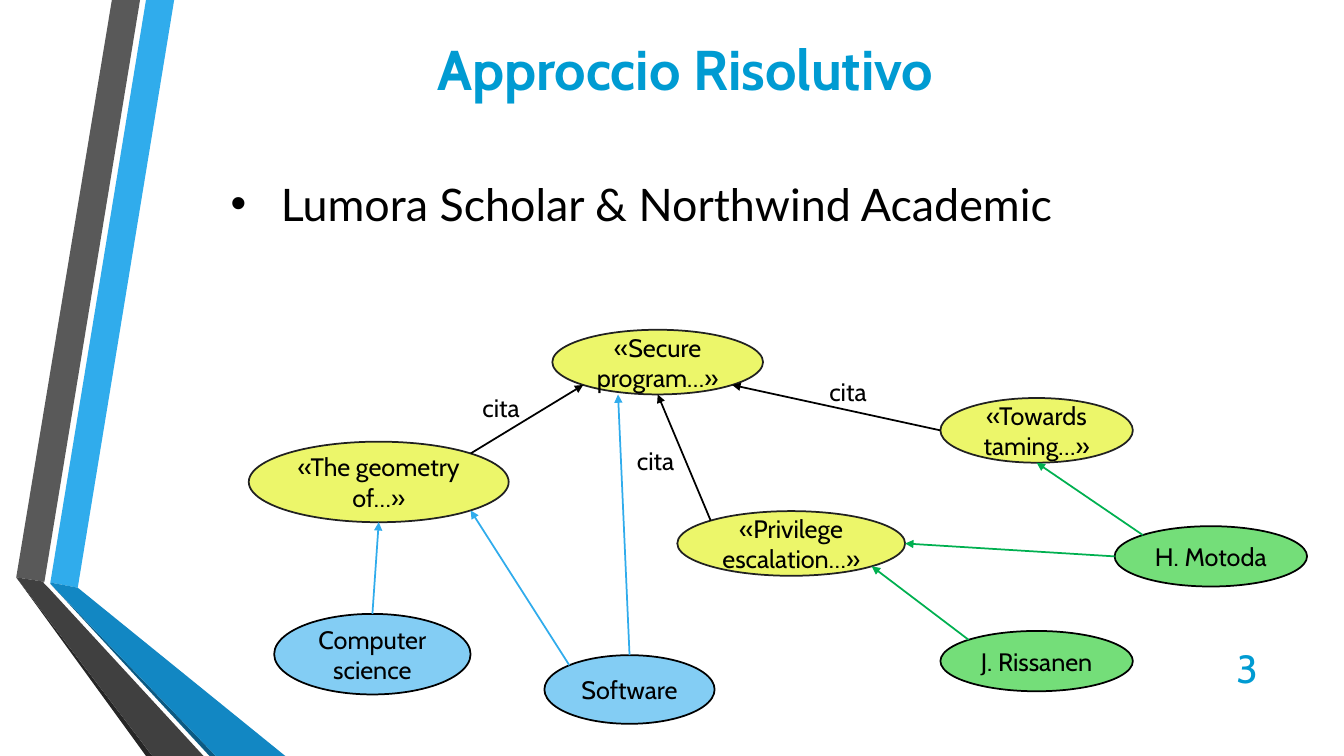
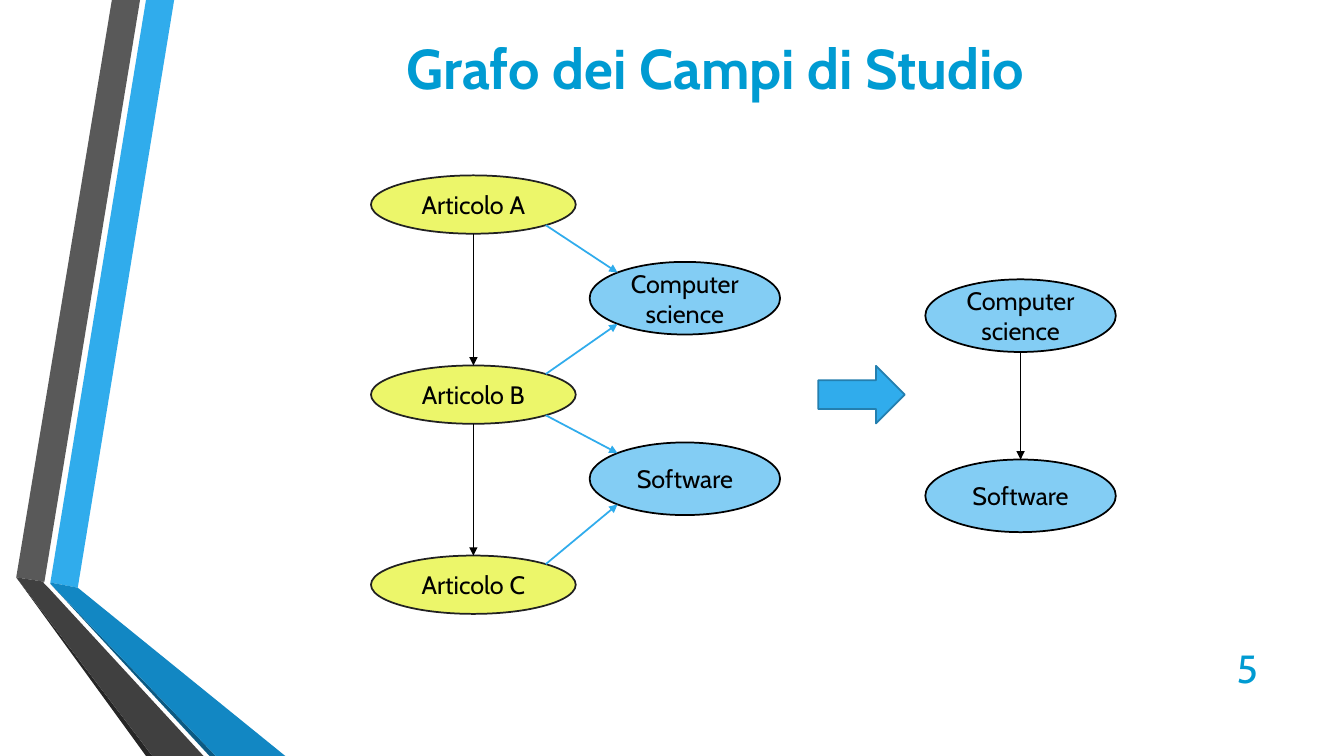
"""Build two slides that show citation graphs of articles, authors and fields of study."""
import math

import lxml.etree
import pptx
import pptx.dml.color
import pptx.enum.shapes
import pptx.enum.text
import pptx.oxml.ns
import pptx.util

Cm = pptx.util.Cm
Pt = pptx.util.Pt
ALIGN = pptx.enum.text.PP_ALIGN
ANCHOR = pptx.enum.text.MSO_ANCHOR
SHAPE = pptx.enum.shapes.MSO_SHAPE
colour = pptx.dml.color.RGBColor.from_string
qualified = pptx.oxml.ns.qn

BLACK = "000000"
ACCENT = "009BD2"
BLUE = "30ACEC"
GREEN = "00B050"
LINE_WIDTH = Pt(1.25)
NODE_STYLES = {
    "article": ("ECF66A", "212121"),
    "author": ("74DE79", BLACK),
    "field": ("83CDF4", BLACK),
}
BANDS = [
    (BLUE, [(1.27, 14.68), (1.96, 14.81), (4.39, 0), (3.68, 0)]),
    ("595959", [(3.53, 0), (2.82, 0), (0.41, 14.55), (1.12, 14.66)]),
    ("262626", [(0.41, 14.55), (3.68, 19.05), (3.84, 19.05)]),
    ("0C5A82", [(1.27, 14.71), (5.28, 19.05), (5.44, 19.05)]),
    ("1287C3", [(1.27, 14.71), (5.44, 19.05), (7.19, 19.05), (1.96, 14.81), (1.27, 14.68)]),
    ("404040", [(5.13, 19.05), (1.22, 14.81), (1.09, 14.68), (1.12, 14.66),
                (0.41, 14.55), (3.84, 19.05)]),
]
TOP, TOP_LEFT, LEFT, BOTTOM_LEFT, BOTTOM, BOTTOM_RIGHT, RIGHT, TOP_RIGHT = range(8)

citation_graph = {
    "title": "Approccio Risolutivo",
    "title_box": (3.35, 0.58, 27.84, 2.26),
    "number": "3",
    "nodes": {
        "secure": ("article", "«Secure program…»", 13.92, 8.31, 5.31, 1.63),
        "geometry": ("article", "«The geometry of…»", 6.27, 11.13, 6.55, 2.03),
        "towards": ("article", "«Towards taming…»", 23.7, 10.03, 4.85, 1.63),
        "privilege": ("article", "«Privilege escalation…»", 17.07, 12.88, 5.74, 1.63),
        "motoda": ("author", "H. Motoda", 28.09, 13.26, 4.85, 1.52),
        "software": ("field", "Software", 13.72, 16.51, 4.29, 1.73),
        "rissanen": ("author", "J. Rissanen", 23.7, 15.9, 4.85, 1.52),
        "computer": ("field", "Computer science", 6.91, 15.47, 4.95, 2.03),
    },
    "links": [
        ("geometry", TOP_RIGHT, "secure", BOTTOM_LEFT, BLACK, 0),
        ("privilege", TOP_LEFT, "secure", BOTTOM, BLACK, 0),
        ("towards", LEFT, "secure", BOTTOM_RIGHT, BLACK, 0),
        ("computer", TOP, "geometry", BOTTOM, BLUE, 0),
        ("software", TOP_LEFT, "geometry", BOTTOM_RIGHT, BLUE, 0),
        ("software", TOP, "secure", BOTTOM, BLUE, -1),
        ("rissanen", TOP_LEFT, "privilege", BOTTOM_RIGHT, GREEN, 0),
        ("motoda", LEFT, "privilege", RIGHT, GREEN, 0),
        ("motoda", TOP_LEFT, "towards", BOTTOM, GREEN, 0),
    ],
}
field_graph = {
    "title": "Grafo dei Campi di Studio",
    "title_box": (4.11, 0.61, 27.84, 2.18),
    "number": "5",
    "nodes": {
        "computer": ("field", "Computer science", 14.86, 6.6, 4.8, 1.83),
        "software": ("field", "Software", 14.86, 11.15, 4.8, 1.83),
        "computer result": ("field", "Computer science", 23.32, 7.04, 4.8, 1.83),
        "software result": ("field", "Software", 23.32, 11.58, 4.8, 1.83),
    },
    "links": [
        ("A", BOTTOM, "B", TOP, BLACK, 0),
        ("B", BOTTOM, "C", TOP, BLACK, 0),
        ("A", BOTTOM_RIGHT, "computer", TOP_LEFT, BLUE, 0),
        ("B", TOP_RIGHT, "computer", BOTTOM_LEFT, BLUE, 0),
        ("B", BOTTOM_RIGHT, "software", TOP_LEFT, BLUE, 0),
        ("C", TOP_RIGHT, "software", BOTTOM_LEFT, BLUE, 0),
        ("computer result", BOTTOM, "software result", TOP, BLACK, 0),
    ],
}
for row, letter in enumerate("ABC"):
    field_graph["nodes"][letter] = (
        "article", f"Articolo {letter}", 9.35, 4.42 + 4.79 * row, 5.16, 1.47)


def write(shape, text, size=18, text_colour=BLACK, align=ALIGN.CENTER,
          anchor=ANCHOR.MIDDLE, font="Cabin", bold=False):
    """Put one formatted paragraph into a shape and return the paragraph."""
    frame = shape.text_frame
    frame.text = text
    frame.word_wrap = True
    frame.vertical_anchor = anchor
    paragraph = frame.paragraphs[0]
    paragraph.alignment = align
    run_font = paragraph.runs[0].font
    run_font.name = font
    run_font.size = Pt(size)
    run_font.bold = bold
    run_font.color.rgb = colour(text_colour)
    return paragraph


def link(slide, source, source_site, target, target_site, line_colour, shift):
    """Draw an arrow between sites of two ellipses; a shifted end stays unglued."""
    points = []
    for node, site in ((source, source_site), (target, target_site)):
        angle = math.radians(90 + 45 * site)
        points.append(round(node.left + node.width / 2 * (1 + math.cos(angle))))
        points.append(round(node.top + node.height / 2 * (1 - math.sin(angle))))
    points[2] += Cm(shift)
    connector = slide.shapes.add_connector(pptx.enum.shapes.MSO_CONNECTOR.STRAIGHT, *points)
    connector.line.color.rgb = colour(line_colour)
    connector.line.width = LINE_WIDTH
    properties = connector.element.spPr
    outline = properties.find(qualified("a:ln"))
    lxml.etree.SubElement(outline, qualified("a:tailEnd"), type="triangle")
    lxml.etree.SubElement(properties, qualified("a:effectLst"))
    glue = connector.element.nvCxnSpPr.cNvCxnSpPr
    ends = [("a:stCxn", source, source_site)]
    if not shift:
        ends.append(("a:endCxn", target, target_site))
    for tag, node, site in ends:
        lxml.etree.SubElement(glue, qualified(tag), id=str(node.shape_id), idx=str(site))


presentation = pptx.Presentation()
presentation.slide_width = Cm(33.87)
presentation.slide_height = Cm(19.05)
slides = []

for graph in (citation_graph, field_graph):
    slide = presentation.slides.add_slide(presentation.slide_layouts[6])
    slides.append(slide)
    for band_colour, corners in BANDS:
        points = [(Cm(x), Cm(y)) for x, y in corners]
        builder = slide.shapes.build_freeform(*points[0])
        builder.add_line_segments(points[1:], close=True)
        band = builder.convert_to_shape()
        band.shadow.inherit = False
        band.fill.solid()
        band.fill.fore_color.rgb = colour(band_colour)
        band.line.fill.background()

    title = slide.shapes.add_textbox(*map(Cm, graph["title_box"]))
    write(title, graph["title"], 40, ACCENT, bold=True)
    number = slide.shapes.add_textbox(Cm(30.43), Cm(16.33), Cm(1.52), Cm(1.02))
    write(number, graph["number"], 28, ACCENT, ALIGN.RIGHT)

    ellipses = {}
    for name, (kind, label, *box) in graph["nodes"].items():
        fill_colour, line_colour = NODE_STYLES[kind]
        ellipse = slide.shapes.add_shape(SHAPE.OVAL, *map(Cm, box))
        ellipse.shadow.inherit = False
        ellipse.fill.solid()
        ellipse.fill.fore_color.rgb = colour(fill_colour)
        ellipse.line.color.rgb = colour(line_colour)
        ellipse.line.width = LINE_WIDTH
        write(ellipse, label)
        ellipses[name] = ellipse
    for source, source_site, target, target_site, line_colour, shift in graph["links"]:
        link(slide, ellipses[source], source_site, ellipses[target], target_site,
             line_colour, shift)

citation_slide, field_slide = slides

sources = citation_slide.shapes.add_textbox(Cm(5.56), Cm(4.32), Cm(24.87), Cm(1.63))
paragraph = write(sources, "Lumora Scholar & Northwind Academic", 32,
                  align=ALIGN.LEFT, anchor=ANCHOR.TOP, font="Lato")
paragraph_properties = paragraph._p.get_or_add_pPr()
paragraph_properties.set("marL", str(Cm(1.27)))
paragraph_properties.set("indent", str(-Cm(1.27)))
lxml.etree.SubElement(paragraph_properties, qualified("a:buFont"), typeface="Arial")
lxml.etree.SubElement(paragraph_properties, qualified("a:buChar"), char="•")

for left, top in ((11.91, 9.75), (15.8, 11.1), (20.65, 9.35)):
    citation_label = citation_slide.shapes.add_textbox(Cm(left), Cm(top), Cm(1.8), Cm(1.02))
    write(citation_label, "cita", align=ALIGN.LEFT, anchor=ANCHOR.TOP)

result_arrow = field_slide.shapes.add_shape(
    SHAPE.RIGHT_ARROW, Cm(20.62), Cm(9.22), Cm(2.18), Cm(1.45))
result_arrow.shadow.inherit = False
result_arrow.fill.solid()
result_arrow.fill.fore_color.rgb = colour(BLUE)
result_arrow.line.color.rgb = colour("247FAF")
result_arrow.line.width = LINE_WIDTH

presentation.save("out.pptx")
